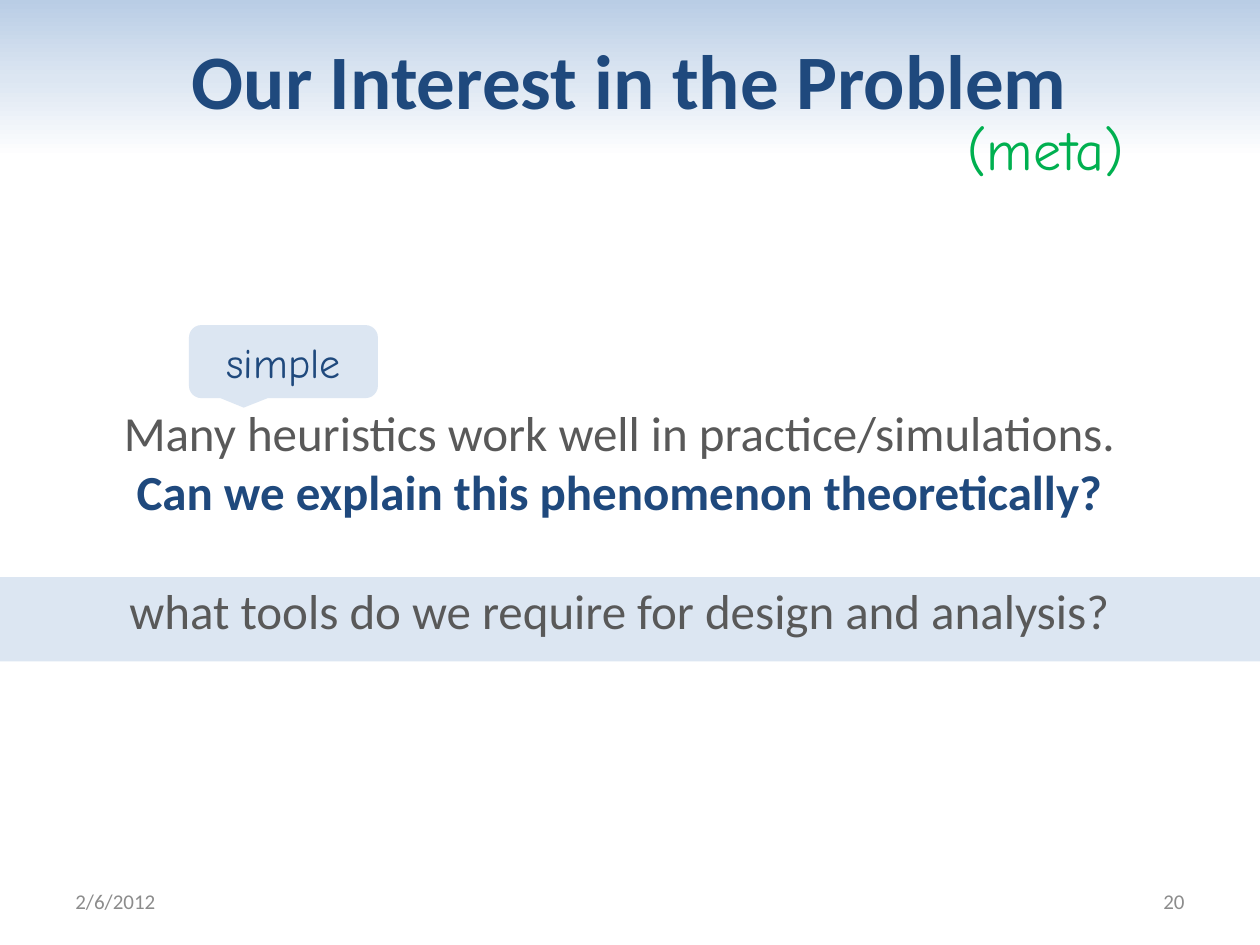
from copy import deepcopy
from dataclasses import dataclass
from typing import Optional

from pptx import Presentation
from pptx import util as u
from pptx.dml.color import RGBColor
from pptx.enum import shapes, text
from pptx.oxml.ns import qn

NAVY = RGBColor(0x1F, 0x49, 0x7D)
PALE = RGBColor(0xDC, 0xE6, 0xF2)
SKY = RGBColor(0xB9, 0xCD, 0xE5)
WHITE = RGBColor(0xFF, 0xFF, 0xFF)
DARK = RGBColor(0x59, 0x59, 0x59)
GRAY = RGBColor(0x8C, 0x8C, 0x8C)
GREEN = RGBColor(0x00, 0xB0, 0x50)

LEFT, CENTER, RIGHT = text.PP_ALIGN.LEFT, text.PP_ALIGN.CENTER, text.PP_ALIGN.RIGHT
TOP, MIDDLE = text.MSO_ANCHOR.TOP, text.MSO_ANCHOR.MIDDLE
SHAPE = shapes.MSO_SHAPE


@dataclass
class Line:
    text: str
    size: float
    color: RGBColor
    font: str = "Calibri"
    bold: bool = False
    align: text.PP_ALIGN = CENTER
    before: float = 0


@dataclass
class Box:
    at: tuple[float, float, float, float]
    lines: tuple[Line, ...] = ()
    kind: Optional[shapes.MSO_SHAPE] = None
    fill: Optional[RGBColor] = None
    anchor: text.MSO_ANCHOR = MIDDLE
    wrap: bool = True
    bottom: float = 0.05
    adjust: tuple[float, ...] = ()


TITLE = Line("Our Interest in the Problem", 44, NAVY, bold=True)
BAND = Box((0, 4.58, 10, 0.67), kind=SHAPE.RECTANGLE, fill=PALE)
DATE = Box((0.5, 6.95, 2.33, 0.4), (Line("2/6/2012", 12, GRAY, align=LEFT),))
NUMBER = Box((7.17, 6.95, 2.33, 0.4), (Line("20", 12, GRAY, align=RIGHT),))
QUESTION = Box(
    (0.5, 2.75, 8.83, 3.08),
    (
        Line("Many heuristics work well in practice/simulations.", 28, DARK),
        Line("Can we explain this phenomenon theoretically?", 28, NAVY, bold=True),
        Line("what tools do we require for design and analysis?", 28, DARK, before=34),
    ),
    kind=SHAPE.ROUNDED_RECTANGLE,
    bottom=0.36,
)
META = Box(
    (7.58, 0.86, 1.57, 0.64),
    (Line("(meta)", 32, GREEN, "Comic Neue", align=LEFT),),
    anchor=TOP,
    wrap=False,
)
SIMPLE = Box(
    (1.5, 2.58, 1.5, 0.58),
    (Line("simple", 24, NAVY, "Comic Neue"),),
    kind=SHAPE.ROUNDED_RECTANGULAR_CALLOUT,
    fill=PALE,
    adjust=(-0.21, 0.63, 0.17),
)


def write_line(p, line: Line) -> None:
    p.alignment = line.align
    p.space_before = u.Pt(line.before)
    r = p.add_run()
    r.text = line.text
    style = {"name": line.font, "size": u.Pt(line.size), "bold": line.bold}
    for key, value in style.items():
        setattr(r.font, key, value)
    r.font.color.rgb = line.color


def add_box(s, box: Box) -> None:
    at = [u.Inches(v) for v in box.at]
    if box.kind is None:
        sp = s.shapes.add_textbox(*at)
    else:
        sp = s.shapes.add_shape(box.kind, *at)
        sp.shadow.inherit = False
        sp.line.fill.background()
        if box.fill is None:
            sp.fill.background()
        else:
            sp.fill.solid()
            sp.fill.fore_color.rgb = box.fill
        for i, value in enumerate(box.adjust):
            sp.adjustments[i] = value
    tf = sp.text_frame
    layout = {
        "word_wrap": box.wrap,
        "vertical_anchor": box.anchor,
        "margin_bottom": u.Inches(box.bottom),
    }
    for key, value in layout.items():
        setattr(tf, key, value)
    for i, line in enumerate(box.lines):
        write_line(tf.add_paragraph() if i else tf.paragraphs[0], line)


def format_title(sp) -> None:
    place = {"left": 0, "top": 0, "width": 10, "height": 1.25}
    for key, value in place.items():
        setattr(sp, key, u.Inches(value))
    sp.fill.gradient()
    sp.fill.gradient_angle = 270
    first = next(sp._element.spPr.iter(qn("a:gs")))
    first.addnext(deepcopy(first))
    colors = (SKY, PALE, WHITE)
    for i, (stop, color) in enumerate(zip(sp.fill.gradient_stops, colors)):
        stop.position = i / 2
        stop.color.rgb = color
    sp.text_frame.vertical_anchor = MIDDLE
    write_line(sp.text_frame.paragraphs[0], TITLE)


def main() -> None:
    prs = Presentation()
    prs.slide_width, prs.slide_height = u.Inches(10), u.Inches(7.5)
    s = prs.slides.add_slide(prs.slide_layouts[5])
    format_title(s.shapes.title)
    for box in (BAND, DATE, NUMBER, QUESTION, META, SIMPLE):
        add_box(s, box)
    prs.save("out.pptx")


if __name__ == "__main__":
    main()
